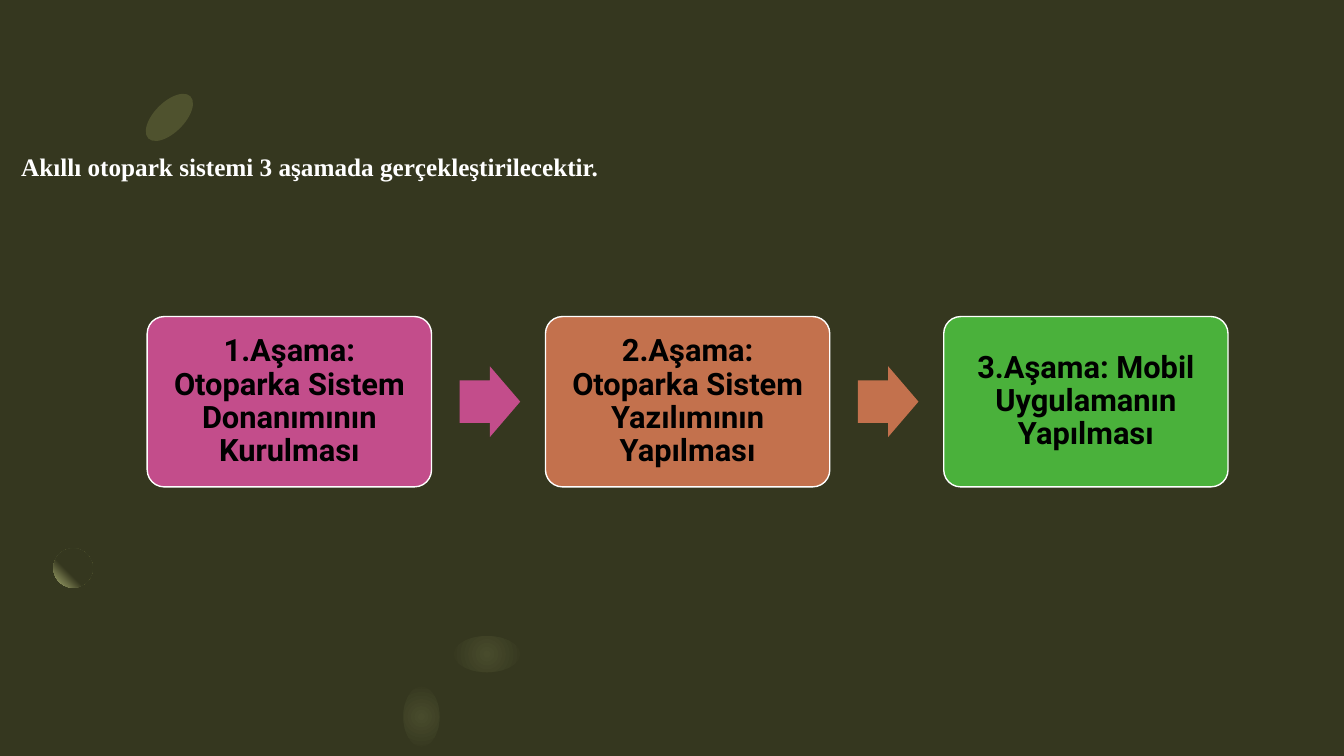
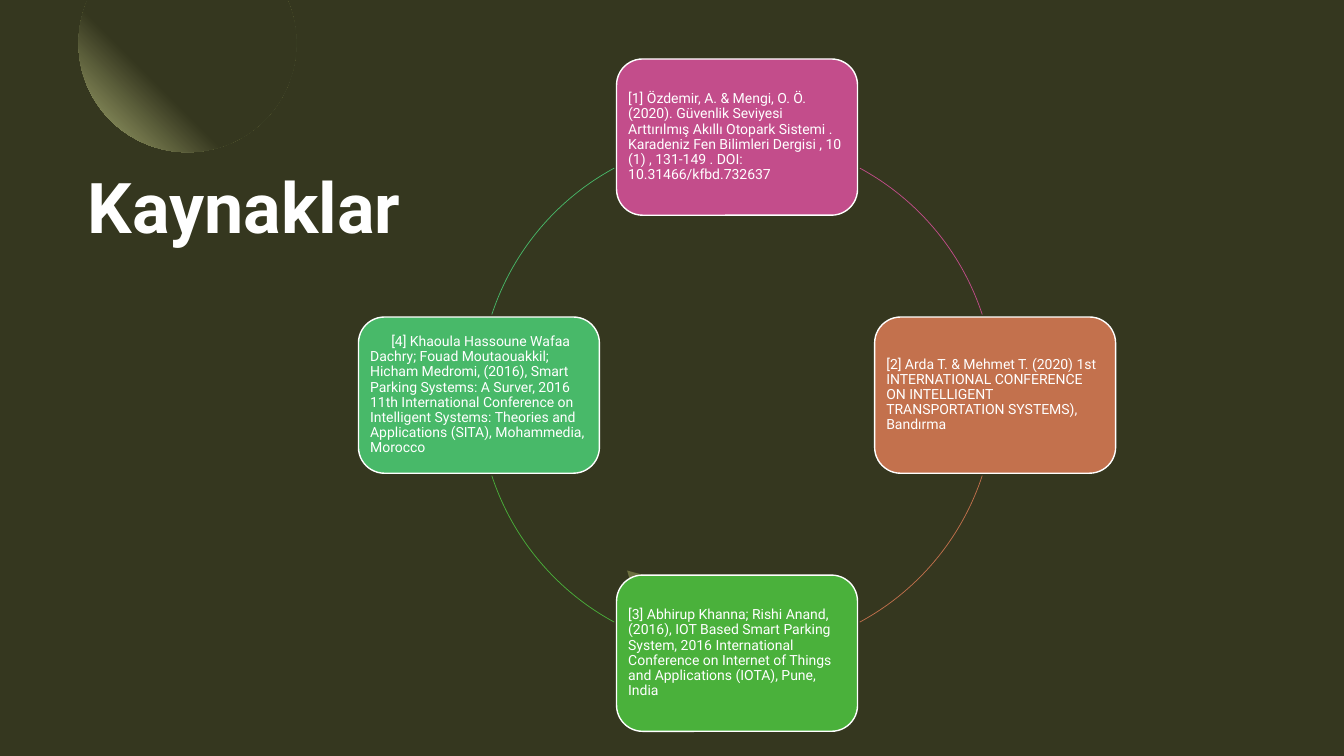
import math

from lxml import etree
from pptx import Presentation
from pptx.dml.color import RGBColor
from pptx.enum.shapes import MSO_SHAPE
from pptx.enum.text import MSO_ANCHOR, PP_ALIGN
from pptx.oxml.ns import qn
from pptx.util import Inches, Pt

ELLIPSE, ARC = MSO_SHAPE.OVAL, MSO_SHAPE.ARC
CARD, ARROW = MSO_SHAPE.ROUNDED_RECTANGLE, MSO_SHAPE.RIGHT_ARROW
MIDDLE = MSO_ANCHOR.MIDDLE
LEFT, CENTER = PP_ALIGN.LEFT, PP_ALIGN.CENTER

BACKGROUND, WHITE, BLACK = "35371F", "FFFFFF", "000000"
OLIVE, GLOW, MIST, LEAF = "4F522E", "AEB377", "484B2C", "6B6F3F"
PINK, ORANGE, GREEN, MINT = "C34D8B", "C3714D", "4AB13B", "48B969"
BODY_FONT, INTRO_FONT = "Roboto", "Times New Roman"

INTRO = "Akıllı otopark sistemi 3 aşamada gerçekleştirilecektir."
STAGES = [
    ("1.Aşama: Otoparka Sistem Donanımının Kurulması", PINK),
    ("2.Aşama: Otoparka Sistem Yazılımının Yapılması", ORANGE),
    ("3.Aşama: Mobil Uygulamanın Yapılması", GREEN),
]
STAGE_LEFT, STAGE_TOP, STAGE_WIDTH, STAGE_HEIGHT = 1.46, 3.14, 2.82, 1.69
STAGE_STEP = 3.95
ARROW_OFFSET, ARROW_WIDTH, ARROW_HEIGHT = 3.1, 0.6, 0.7
MISTS = [(4.5, 6.31, 0.66, 0.36), (4.0, 6.81, 0.36, 0.6)]

SOURCES_TITLE = "Kaynaklar"
# Text, colour, first-line indent; clockwise from the top
SOURCES = [
    ("[1] Özdemir, A. & Mengi, O. Ö. (2020). Güvenlik Seviyesi Arttırılmış "
     "Akıllı Otopark Sistemi . Karadeniz Fen Bilimleri Dergisi , 10 (1) , "
     "131-149 . DOI: 10.31466/kfbd.732637", PINK, 0),
    ("[2] Arda T. & Mehmet T. (2020) 1st INTERNATIONAL CONFERENCE ON "
     "INTELLIGENT TRANSPORTATION SYSTEMS), Bandırma", ORANGE, 0),
    ("[3] Abhirup Khanna; Rishi Anand, (2016), IOT Based Smart Parking System, "
     "2016 International Conference on Internet of Things and Applications "
     "(IOTA), Pune, India", GREEN, 0),
    ("[4] Khaoula Hassoune Wafaa Dachry; Fouad Moutaouakkil; Hicham Medromi, "
     "(2016), Smart Parking Systems: A Surver, 2016 11th International "
     "Conference on Intelligent Systems: Theories and Applications (SITA), "
     "Mohammedia, Morocco", MINT, 0.21),
]
RING_X, RING_Y, RING_RADIUS = 7.31, 3.92, 2.56
SOURCE_WIDTH, SOURCE_HEIGHT = 2.39, 1.55
ARC_ANGLES = [(298.4, 341.8), (18.2, 61.6), (118.4, 161.8), (198.2, 241.6)]
MOON_X, MOON_Y, MOON_RADIUS = 1.86, 0.43, 1.08
LEAF_POINTS = [(6.22, 5.66), (7.35, 5.97), (7.43, 6.04), (7.41, 6.3), (7.2, 6.64),
               (6.9, 6.84), (6.65, 6.88), (6.54, 6.78)]


def color(hex_value):
    return RGBColor.from_string(hex_value)


def style(shape, fill=None, line=None, line_width=1):
    shape.shadow.inherit = False
    if fill:
        shape.fill.solid()
        shape.fill.fore_color.rgb = color(fill)
    else:
        shape.fill.background()
    if line:
        shape.line.color.rgb = color(line)
        shape.line.width = Pt(line_width)
    else:
        shape.line.fill.background()


def add_shape(slide, kind, box, fill=None, line=None, line_width=1):
    shape = slide.shapes.add_shape(kind, *map(Inches, box))
    style(shape, fill, line, line_width)
    return shape


def add_polygon(slide, points, fill):
    corners = [(Inches(x), Inches(y)) for x, y in points]
    builder = slide.shapes.build_freeform(*corners[0])
    builder.add_line_segments(corners[1:], close=True)
    shape = builder.convert_to_shape()
    style(shape, fill)
    return shape


def fill_radial(shape, stops, focus):
    """Fill with a circular gradient; focus holds the l, t, r, b percentages."""
    shape.fill.gradient()
    for stop, (position, hex_value) in zip(shape.fill.gradient_stops, stops):
        stop.position = position
        stop.color.rgb = color(hex_value)
    gradient = shape._element.spPr.find(qn("a:gradFill"))
    gradient.remove(gradient.find(qn("a:lin")))
    path = etree.SubElement(gradient, qn("a:path"), path="circle")
    sides = {side: str(percent * 1000) for side, percent in zip("ltrb", focus)}
    etree.SubElement(path, qn("a:fillToRect"), **sides)


def fill_moon(shape):
    fill_radial(shape, [(0.6, BACKGROUND), (1, GLOW)], (100, 0, 0, 100))


def set_text(shape, text, size, hex_value=WHITE, font=BODY_FONT, bold=False,
             align=LEFT, margin=0.0, indent=0.0):
    frame = shape.text_frame
    frame.word_wrap = True
    frame.vertical_anchor = MIDDLE
    frame.margin_left = frame.margin_right = Inches(margin)
    frame.margin_top = frame.margin_bottom = Inches(margin)
    frame.text = text
    paragraph = frame.paragraphs[0]
    paragraph.alignment = align
    paragraph.line_spacing = 0.9
    if indent:
        paragraph._p.get_or_add_pPr().set("indent", str(Inches(indent)))
    run_font = paragraph.runs[0].font
    run_font.name, run_font.size, run_font.bold = font, Pt(size), bold
    run_font.color.rgb = color(hex_value)


def add_heading(slide, box, text, size, font=BODY_FONT):
    heading = slide.shapes.add_textbox(*map(Inches, box))
    set_text(heading, text, size, font=font, bold=True)
    heading.text_frame.paragraphs[0].space_after = Pt(6)


def build_stages(slide):
    add_heading(slide, (0.21, 1.17, 12.19, 1), INTRO, 18, INTRO_FONT)
    add_shape(slide, ELLIPSE, (1.53, 0.87, 0.3, 0.59), OLIVE).rotation = 45
    fill_moon(add_shape(slide, ELLIPSE, (0.53, 5.44, 0.39, 0.39)))
    for box in MISTS:
        mist = add_shape(slide, ELLIPSE, box)
        fill_radial(mist, [(0, MIST), (1, BACKGROUND)], (50, 50, 50, 50))

    arrow_top = STAGE_TOP + (STAGE_HEIGHT - ARROW_HEIGHT) / 2
    for index, (text, fill) in enumerate(STAGES):
        left = STAGE_LEFT + index * STAGE_STEP
        card = add_shape(slide, CARD, (left, STAGE_TOP, STAGE_WIDTH, STAGE_HEIGHT),
                         fill, WHITE)
        card.adjustments[0] = 0.1
        set_text(card, text, 22, BLACK, bold=True, align=CENTER, margin=0.09)
        if index < len(STAGES) - 1:
            arrow = add_shape(slide, ARROW, (left + ARROW_OFFSET, arrow_top,
                                             ARROW_WIDTH, ARROW_HEIGHT), fill)
            arrow.adjustments[0], arrow.adjustments[1] = 0.6, 0.5


def build_sources(slide):
    add_heading(slide, (0.87, 1.35, 3.61, 1.49), SOURCES_TITLE, 50)

    # The slide's top edge cuts the moon
    cut = math.asin(MOON_Y / MOON_RADIUS)
    angles = [-cut + (math.pi + 2 * cut) * step / 90 for step in range(91)]
    moon = add_polygon(slide, [(MOON_X + MOON_RADIUS * math.cos(angle),
                                MOON_Y + MOON_RADIUS * math.sin(angle))
                               for angle in angles], OLIVE)
    fill_moon(moon)
    add_polygon(slide, LEAF_POINTS, LEAF)

    ring_box = (RING_X - RING_RADIUS, RING_Y - RING_RADIUS,
                2 * RING_RADIUS, 2 * RING_RADIUS)
    for index, (text, fill, indent) in enumerate(SOURCES):
        angle = math.radians(90 * index - 90)
        left = RING_X + RING_RADIUS * math.cos(angle) - SOURCE_WIDTH / 2
        top = RING_Y + RING_RADIUS * math.sin(angle) - SOURCE_HEIGHT / 2
        card = add_shape(slide, CARD, (left, top, SOURCE_WIDTH, SOURCE_HEIGHT),
                         fill, WHITE)
        set_text(card, text, 10, margin=0.04, indent=indent)
        arc = add_shape(slide, ARC, ring_box, line=fill, line_width=0.5)
        for end, degrees in enumerate(ARC_ANGLES[index]):
            arc.adjustments[end] = degrees * 0.6  # 60000 units a degree, over 100000


def main():
    presentation = Presentation()
    presentation.slide_width, presentation.slide_height = Inches(13.33), Inches(7.5)
    master_fill = presentation.slide_master.background.fill
    master_fill.solid()
    master_fill.fore_color.rgb = color(BACKGROUND)
    for build in (build_stages, build_sources):
        build(presentation.slides.add_slide(presentation.slide_layouts[6]))
    presentation.save("out.pptx")


if __name__ == "__main__":
    main()
